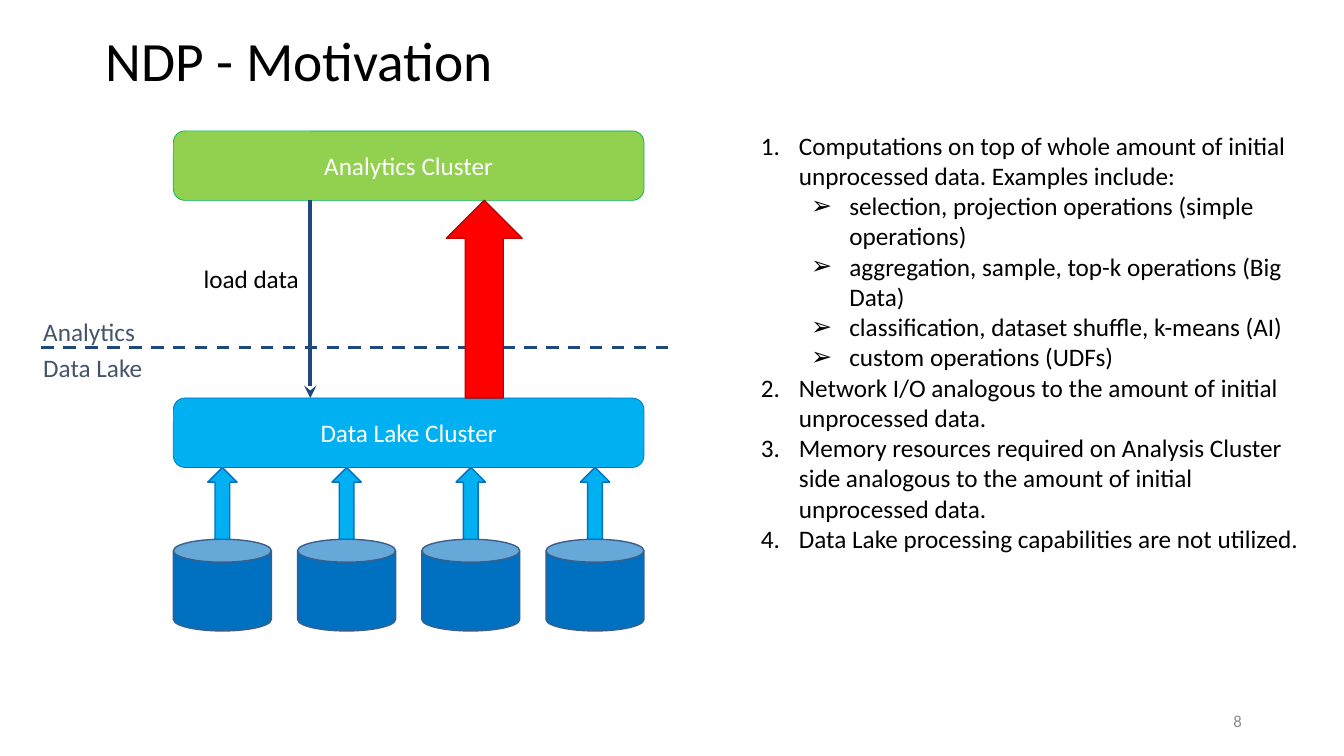
from pptx import Presentation
from pptx.dml.color import RGBColor
from pptx.enum.dml import MSO_LINE_DASH_STYLE as Dash
from pptx.enum.shapes import MSO_CONNECTOR as Connector, MSO_SHAPE as Shape
from pptx.enum.text import MSO_ANCHOR as Anchor, MSO_AUTO_SIZE as AutoSize, PP_ALIGN as Align
from pptx.oxml.ns import qn
from pptx.util import Cm, Pt
from lxml.etree import SubElement

BLACK = RGBColor(0x00, 0x00, 0x00)
WHITE = RGBColor(0xFF, 0xFF, 0xFF)
GRAY = RGBColor(0x8C, 0x8C, 0x8C)
SLATE = RGBColor(0x44, 0x54, 0x6A)
NAVY = RGBColor(0x1F, 0x49, 0x7D)
BLUE = RGBColor(0x00, 0x70, 0xC0)
STEEL = RGBColor(0x3A, 0x5F, 0x8C)
SKY = RGBColor(0x00, 0xB0, 0xF0)
LIME = RGBColor(0x92, 0xD0, 0x50)
GREEN = RGBColor(0x00, 0xB0, 0x50)
RED = RGBColor(0xFF, 0x00, 0x00)
DARK_RED = RGBColor(0xC0, 0x00, 0x00)

CLUSTER_LEFT, CLUSTER_WIDTH, CLUSTER_HEIGHT = 4.37, 11.86, 1.75
ANALYTICS_TOP, LAKE_TOP = 3.3, 10.03
ANALYTICS_BOTTOM = ANALYTICS_TOP + CLUSTER_HEIGHT
LAKE_BOTTOM = LAKE_TOP + CLUSTER_HEIGHT
DISK_COUNT, DISK_TOP, DISK_WIDTH, DISK_HEIGHT = 4, 13.59, 2.47, 2.31
DISK_STEP = (CLUSTER_WIDTH - DISK_WIDTH) / (DISK_COUNT - 1)
ARROW_WIDTH = 0.74
BORDER_TOP = 8.76

MOTIVATION = [
    (0, "Computations on top of whole amount of initial unprocessed data. Examples include:"),
    (1, "selection, projection operations (simple operations)"),
    (1, "aggregation, sample, top-k operations (Big Data)"),
    (1, "classification, dataset shuffle, k-means (AI)"),
    (1, "custom operations (UDFs)"),
    (0, "Network I/O analogous to the amount of initial unprocessed data."),
    (0, "Memory resources required on Analysis Cluster side analogous to the amount "
        "of initial unprocessed data."),
    (0, "Data Lake processing capabilities are not utilized."),
]


def place(shape, left, top, width, height):
    """Move and size a shape in centimetres."""
    shape.left, shape.top = Cm(left), Cm(top)
    shape.width, shape.height = Cm(width), Cm(height)


def write(paragraph, text, size=18, color=BLACK, align=Align.LEFT, spacing=1.0):
    """Fill a paragraph with one formatted run."""
    paragraph.alignment = align
    paragraph.line_spacing = spacing
    paragraph.space_before = paragraph.space_after = Pt(0)
    run = paragraph.add_run()
    run.text = text
    run.font.name = "Calibri"
    run.font.size = Pt(size)
    run.font.color.rgb = color


def add_label(slide, text, left, top, width, height=1.02, anchor=Anchor.TOP, **text_format):
    """Add a text box with one line of text."""
    frame = slide.shapes.add_textbox(Cm(left), Cm(top), Cm(width), Cm(height)).text_frame
    frame.word_wrap = True
    frame.vertical_anchor = anchor
    write(frame.paragraphs[0], text, **text_format)


def add_figure(slide, kind, left, top, width, height, fill, outline, weight=1, text=None):
    """Add a filled preset shape, with centred white text if given."""
    shape = slide.shapes.add_shape(kind, Cm(left), Cm(top), Cm(width), Cm(height))
    shape.shadow.inherit = False
    shape.fill.solid()
    shape.fill.fore_color.rgb = fill
    shape.line.color.rgb = outline
    shape.line.width = Pt(weight)
    if text:
        shape.text_frame.vertical_anchor = Anchor.MIDDLE
        write(shape.text_frame.paragraphs[0], text, color=WHITE, align=Align.CENTER)


def add_line(slide, start, end, weight, dash=None, arrowhead=None):
    """Add a straight navy connector between two points."""
    line = slide.shapes.add_connector(Connector.STRAIGHT, *map(Cm, start + end))
    line.line.color.rgb = NAVY
    line.line.width = Pt(weight)
    if dash:
        line.line.dash_style = dash
    properties = line._element.spPr
    if arrowhead:
        SubElement(properties.find(qn("a:ln")), qn("a:tailEnd"), type=arrowhead)
    SubElement(properties, qn("a:effectLst"))


def add_bullet(paragraph, level):
    """Number a first-level paragraph or give a second-level one an arrow bullet."""
    paragraph.level = level
    properties = paragraph._p.get_or_add_pPr()
    properties.set("marL", str(Cm(0.96 + 1.27 * level)))
    properties.set("indent", str(Cm(-0.96)))
    if level:
        SubElement(properties, qn("a:buChar"), char="➢")
    else:
        SubElement(properties, qn("a:buAutoNum"), type="arabicPeriod")


def fill_title(title):
    """Write the slide title."""
    place(title, 2.41, 0.81, 29.21, 1.6)
    title.text_frame.auto_size = AutoSize.NONE
    title.text_frame.vertical_anchor = Anchor.MIDDLE
    write(title.text_frame.paragraphs[0], "NDP - Motivation", size=39.6, spacing=0.9)


def fill_motivation(body):
    """Write the numbered list with its nested examples."""
    place(body, 18.92, 3.15, 14.4, 11.02)
    frame = body.text_frame
    frame.auto_size = AutoSize.NONE
    for index, (level, text) in enumerate(MOTIVATION):
        paragraph = frame.add_paragraph() if index else frame.paragraphs[0]
        write(paragraph, text)
        add_bullet(paragraph, level)


def add_cluster(slide, text, top, fill, outline):
    """Add one rounded cluster bar."""
    add_figure(slide, Shape.ROUNDED_RECTANGLE, CLUSTER_LEFT, top, CLUSTER_WIDTH,
               CLUSTER_HEIGHT, fill, outline, weight=0.5, text=text)


def add_disk(slide, left):
    """Add one disk and the arrow that feeds the data lake."""
    add_figure(slide, Shape.CAN, left, DISK_TOP, DISK_WIDTH, DISK_HEIGHT, BLUE, STEEL)
    add_figure(slide, Shape.UP_ARROW, left + (DISK_WIDTH - ARROW_WIDTH) / 2, LAKE_BOTTOM,
               ARROW_WIDTH, DISK_TOP - LAKE_BOTTOM, SKY, BLUE)


def add_architecture(slide):
    """Draw the clusters, disks and data flow."""
    add_line(slide, (1.04, BORDER_TOP), (17.02, BORDER_TOP), 2.25, dash=Dash.DASH)
    for index in range(DISK_COUNT):
        add_disk(slide, CLUSTER_LEFT + index * DISK_STEP)
    add_cluster(slide, "Data Lake Cluster", LAKE_TOP, SKY, BLUE)
    add_cluster(slide, "Analytics Cluster", ANALYTICS_TOP, LIME, GREEN)
    add_line(slide, (7.82, ANALYTICS_BOTTOM), (7.82, LAKE_TOP), 3, arrowhead="stealth")
    add_label(slide, "load data", 4.88, 6.5, 3.05)
    add_figure(slide, Shape.UP_ARROW, 11.25, ANALYTICS_BOTTOM, 1.91,
               LAKE_TOP - ANALYTICS_BOTTOM, RED, DARK_RED)
    add_label(slide, "Analytics", 0.84, 7.85, 3.05, color=SLATE)
    add_label(slide, "Data Lake", 0.84, BORDER_TOP, 3.05, color=SLATE)


def main():
    """Build the slide and save it."""
    presentation = Presentation()
    presentation.slide_width, presentation.slide_height = Cm(33.87), Cm(19.05)
    slide = presentation.slides.add_slide(presentation.slide_layouts[1])
    fill_title(slide.shapes.title)
    fill_motivation(slide.placeholders[1])
    add_architecture(slide)
    add_label(slide, "8", 23.93, 17.65, 7.62, anchor=Anchor.MIDDLE,
              size=12, color=GRAY, align=Align.RIGHT)
    presentation.save("out.pptx")


if __name__ == "__main__":
    main()
